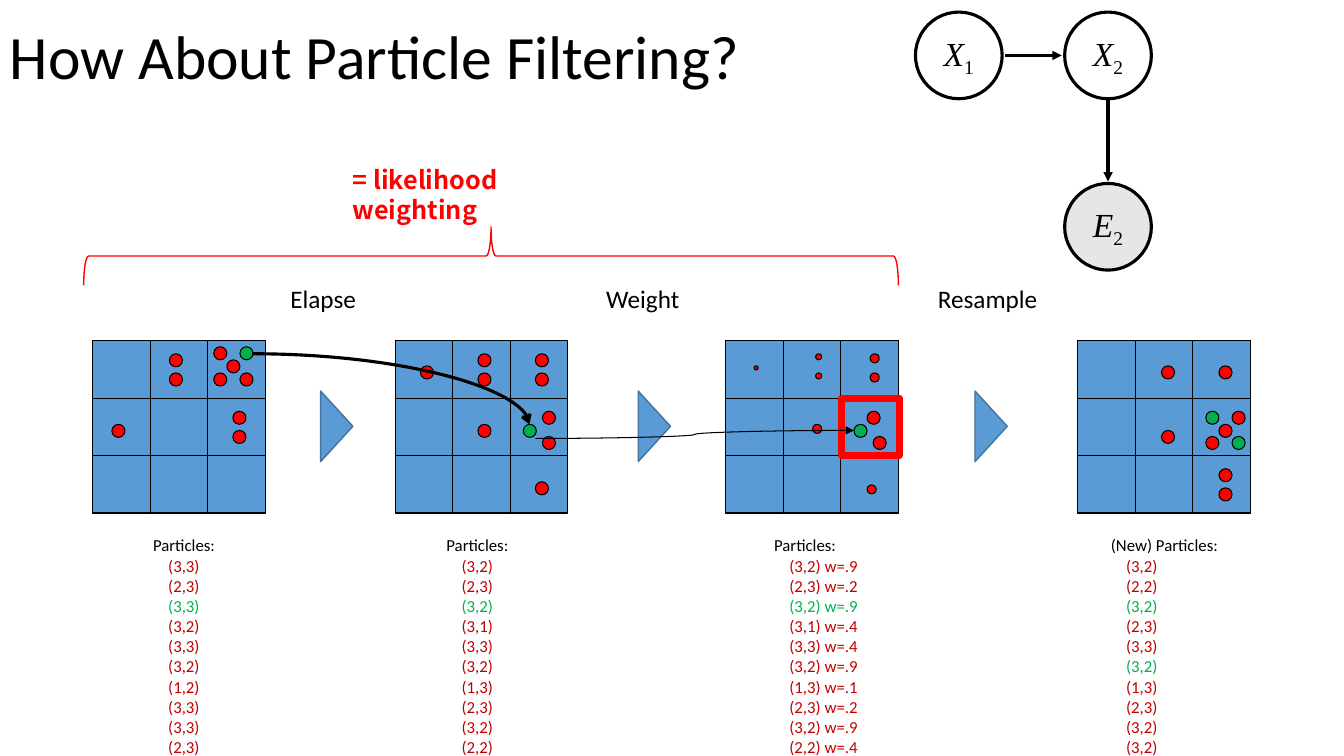
import pptx
import pptx.dml.color
import pptx.enum.shapes
import pptx.enum.text
import pptx.oxml.ns
import pptx.util
from lxml import etree

PX = 9144
BLACK, RED, GREEN, BLUE, MAROON = "000000", "FF0000", "00B050", "5B9BD5", "C00000"
SHAPE = pptx.enum.shapes.MSO_SHAPE
CONNECTOR = pptx.enum.shapes.MSO_CONNECTOR
CENTER = pptx.enum.text.PP_ALIGN.CENTER
MIDDLE = pptx.enum.text.MSO_ANCHOR.MIDDLE
CELL = 57
BOARD_TOP = 338

STAGES = [
    dict(left=92, list_left=142, heading="Particles:", green_rows={2},
         particles="(3,3) (2,3) (3,3) (3,2) (3,3) (3,2) (1,2) (3,3) (3,3) (2,3)",
         red=[(76, 13, 13), (120, 32, 13), (133, 19, 13), (146, 32, 13), (120, 6, 13),
              (139, 70, 13), (76, 32, 13), (139, 89, 13), (19, 83, 13)],
         green=[(146, 6, 13)]),
    dict(left=392, list_left=433, heading="Particles:", green_rows={2},
         particles="(3,2) (2,3) (3,2) (3,1) (3,3) (3,2) (1,3) (2,3) (3,2) (2,2)",
         red=[(146, 70, 13), (146, 95, 13), (139, 13, 13), (82, 83, 13), (139, 140, 13),
              (25, 25, 13), (139, 32, 13), (82, 32, 13), (82, 13, 13)],
         green=[(127, 83, 13)]),
    dict(left=720, list_left=758, heading="Particles:", green_rows={2},
         particles="(3,2) (2,3) (3,2) (3,1) (3,3) (3,2) (1,3) (2,3) (3,2) (2,2)",
         weights=".9 .2 .9 .4 .4 .9 .1 .2 .9 .4",
         red=[(146, 95, 13), (140, 70, 13), (143, 13, 9), (86, 83, 9), (140, 143, 9),
              (143, 32, 9), (89, 32, 6), (89, 13, 6), (28, 25, 4)],
         green=[(127, 83, 13)]),
    dict(left=1069, list_left=1092, heading="(New) Particles:", green_rows={2, 5},
         particles="(3,2) (2,2) (3,2) (2,3) (3,3) (3,2) (1,3) (2,3) (3,2) (3,2)",
         red=[(127, 95, 13), (153, 70, 13), (140, 83, 13), (83, 89, 13), (140, 25, 13),
              (140, 127, 13), (140, 146, 13), (83, 25, 13)],
         green=[(127, 70, 13), (153, 95, 13)]),
]
STEPS = [("Elapse", 233, 318), ("Weight", 550, 633), ("Resample", 892, 967)]


def color(value):
    return pptx.dml.color.RGBColor.from_string(value)


def px(*lengths):
    return [pptx.util.Emu(length * PX) for length in lengths]


def add_outline(slide, kind, box, fill, line, width):
    shape = slide.shapes.add_shape(kind, *px(*box))
    shape.shadow.inherit = False
    if fill:
        shape.fill.solid()
        shape.fill.fore_color.rgb = color(fill)
    else:
        shape.fill.background()
    shape.line.color.rgb = color(line)
    shape.line.width = pptx.util.Pt(width)
    return shape


def add_run(paragraph, text, size, shade=BLACK, face="Calibri", bold=False, italic=False):
    run = paragraph.add_run()
    run.text = text
    run.font.name = face
    run.font.size = pptx.util.Pt(size)
    run.font.bold = bold
    run.font.italic = italic
    run.font.color.rgb = color(shade)
    return run


def add_frame(slide, box):
    frame = slide.shapes.add_textbox(*px(*box)).text_frame
    frame.word_wrap = True
    return frame


def add_arrow(slide, kind, ends, width, head):
    arrow = slide.shapes.add_connector(kind, *px(*ends))
    arrow.line.color.rgb = color(BLACK)
    arrow.line.width = pptx.util.Pt(width)
    properties = arrow.element.spPr
    stroke = properties.find(pptx.oxml.ns.qn("a:ln"))
    etree.SubElement(stroke, pptx.oxml.ns.qn("a:tailEnd")).set("type", head)
    etree.SubElement(properties, pptx.oxml.ns.qn("a:effectLst"))
    return arrow


def draw_title(slide, box):
    frame = add_frame(slide, box)
    frame.vertical_anchor = MIDDLE
    frame.paragraphs[0].line_spacing = 0.9
    add_run(frame.paragraphs[0], "How About Particle Filtering?", 44)


def draw_board(slide, left, top, stage):
    for column in range(3):
        for row in range(3):
            cell = (left + column * CELL, top + row * CELL, CELL, CELL)
            add_outline(slide, SHAPE.RECTANGLE, cell, BLUE, BLACK, 0.75)
    for shade in ("red", "green"):
        fill = RED if shade == "red" else GREEN
        for x, y, size in stage[shade]:
            dot = (left + x, top + y, size, size)
            add_outline(slide, SHAPE.OVAL, dot, fill, BLACK, 0.75)


def draw_particle_list(slide, left, top, stage):
    frame = add_frame(slide, (left, top, 150, 232))
    add_run(frame.paragraphs[0], stage["heading"], 12)
    entries = stage["particles"].split()
    if "weights" in stage:
        entries = [f"{entry}\tw={weight}"
                   for entry, weight in zip(entries, stage["weights"].split())]
    for row, entry in enumerate(entries):
        paragraph = frame.add_paragraph()
        properties = paragraph._p.get_or_add_pPr()
        properties.set("marL", "0")
        properties.set("indent", str(15 * PX))
        if "\t" in entry:
            stops = etree.SubElement(properties, pptx.oxml.ns.qn("a:tabLst"))
            stop = etree.SubElement(stops, pptx.oxml.ns.qn("a:tab"))
            stop.set("pos", str(54 * PX))
            stop.set("algn", "l")
        add_run(paragraph, entry, 12, GREEN if row in stage["green_rows"] else MAROON)


def draw_step(slide, name, label_left, pointer_left):
    frame = add_frame(slide, (label_left, 276, 175, 40))
    frame.paragraphs[0].alignment = CENTER
    add_run(frame.paragraphs[0], name, 18)
    length, depth = 70, 32
    offset = (length - depth) // 2
    box = (pointer_left - offset, 388 + offset, length, depth)
    add_outline(slide, SHAPE.ISOSCELES_TRIANGLE, box, BLUE, "43739E", 1).rotation = 90


def draw_tracked_particle(slide):
    add_outline(slide, SHAPE.RECTANGLE, (835, 395, CELL, CELL), None, RED, 5)
    elapse = add_arrow(slide, CONNECTOR.CURVE, (250, 351, 525, 421), 2.25, "arrow")
    elapse.element.spPr.find(pptx.oxml.ns.qn("a:prstGeom")).set("prst", "curvedConnector2")
    add_arrow(slide, CONNECTOR.CURVE, (531, 435, 847, 427), 0.75, "triangle")


def draw_node(slide, left, top, letter, index, fill):
    node = add_outline(slide, SHAPE.OVAL, (left, top, 86, 86), fill, BLACK, 2.25)
    frame = node.text_frame
    frame.word_wrap = False
    frame.vertical_anchor = MIDDLE
    paragraph = frame.paragraphs[0]
    paragraph.alignment = CENTER
    add_run(paragraph, letter, 24, face="Times New Roman", italic=True)
    subscript = add_run(paragraph, index, 24, face="Times New Roman")
    subscript._r.get_or_add_rPr().set("baseline", "-25000")


def draw_network(slide, left, top):
    draw_node(slide, left, top, "X", "1", "FFFFFF")
    draw_node(slide, left + 148, top, "X", "2", "FFFFFF")
    draw_node(slide, left + 148, top + 170, "E", "2", "E7E6E6")
    for x1, y1, x2, y2 in ((89, 43, 145, 43), (191, 87, 191, 168)):
        add_arrow(slide, CONNECTOR.STRAIGHT,
                  (left + x1, top + y1, left + x2, top + y2), 2.25, "triangle")


def draw_likelihood_note(slide):
    brace = add_outline(slide, SHAPE.LEFT_BRACE, (458, -150, 58, 808), None, RED, 1)
    brace.rotation = 90
    frame = add_frame(slide, (340, 158, 270, 70))
    frame.paragraphs[0].line_spacing = pptx.util.Pt(21.5)
    add_run(frame.paragraphs[0], "= likelihood weighting", 18, RED, "Noto Sans CJK SC", bold=True)


def main():
    deck = pptx.Presentation()
    deck.slide_width, deck.slide_height = px(1333, 750)
    slide = deck.slides.add_slide(deck.slide_layouts[6])
    draw_title(slide, (0, -3, 908, 125))
    for stage in STAGES:
        draw_board(slide, stage["left"], BOARD_TOP, stage)
        draw_particle_list(slide, stage["list_left"], 526, stage)
    for step in STEPS:
        draw_step(slide, *step)
    draw_tracked_particle(slide)
    draw_network(slide, 908, 12)
    draw_likelihood_note(slide)
    deck.save("out.pptx")


if __name__ == "__main__":
    main()
